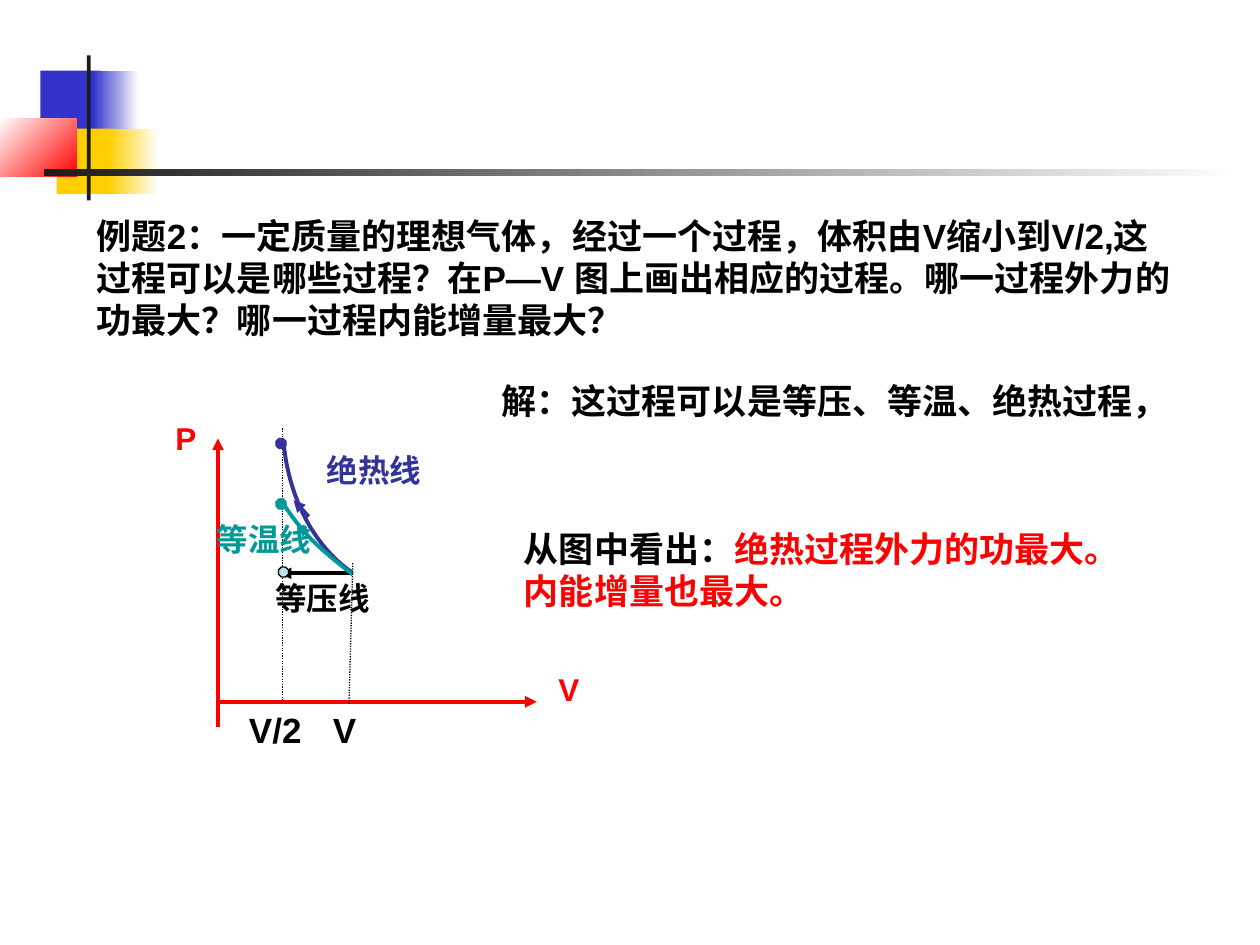
from dataclasses import dataclass

from lxml.etree import SubElement
from pptx import Presentation
from pptx.dml.color import RGBColor
from pptx.enum.dml import MSO_LINE
from pptx.enum.shapes import MSO_CONNECTOR, MSO_SHAPE
from pptx.enum.text import PP_ALIGN
from pptx.oxml.ns import qn
from pptx.util import Inches, Pt


@dataclass(frozen=True)
class Theme:
    font: str = "Arial"
    body_size: int = 20
    label_size: int = 18
    thick: float = 2.25
    thin: float = 0.75
    black: str = "000000"
    white: str = "FFFFFF"
    charcoal: str = "1C1C1C"
    blue: str = "3333CC"
    yellow: str = "FFCF01"
    red: str = "FF0000"
    adiabatic: str = "333399"
    isothermal: str = "009999"
    isobaric_dot: str = "BBE0E3"


@dataclass(frozen=True)
class Box:
    left: float
    top: float
    width: float
    height: float

    def inside(self, left, top, width, height):
        return Box(self.left + left, self.top + top, width, height)

    def point(self, x, y):
        return Inches(self.left + x), Inches(self.top + y)

    def lengths(self):
        return [Inches(n) for n in (self.left, self.top, self.width, self.height)]


THEME = Theme()


def color(value):
    return RGBColor.from_string(value)


def add_text(slide, box, runs, size, align=PP_ALIGN.LEFT):
    """Add one paragraph made of (text, colour) runs."""
    text_frame = slide.shapes.add_textbox(*box.lengths()).text_frame
    text_frame.word_wrap = True
    paragraph = text_frame.paragraphs[0]
    paragraph.alignment = align
    for text, run_color in runs:
        run = paragraph.add_run()
        run.text = text
        run.font.name = THEME.font
        run.font.size = Pt(size)
        run.font.bold = True
        run.font.color.rgb = color(run_color)


def add_block(slide, box, start, end=None, angle=0):
    """Add a borderless rectangle, plain or fading from start to end."""
    shape = slide.shapes.add_shape(MSO_SHAPE.RECTANGLE, *box.lengths())
    shape.shadow.inherit = False
    shape.line.fill.background()
    if end is None:
        shape.fill.solid()
        shape.fill.fore_color.rgb = color(start)
        return
    shape.fill.gradient()
    shape.fill.gradient_angle = angle
    for stop, value in zip(shape.fill.gradient_stops, (start, end)):
        stop.color.rgb = color(value)


def add_line(slide, box, start, end, line_color, width, arrow=True):
    """Add a solid arrow, or a dotted guide when arrow is False."""
    connector = slide.shapes.add_connector(
        MSO_CONNECTOR.STRAIGHT, *box.point(*start), *box.point(*end))
    SubElement(connector._element.spPr, qn("a:effectLst"))
    connector.line.color.rgb = color(line_color)
    connector.line.width = Pt(width)
    if arrow:
        SubElement(connector.line._get_or_add_ln(), qn("a:tailEnd"), type="triangle")
    else:
        connector.line.dash_style = MSO_LINE.ROUND_DOT


def bezier(points, steps=24):
    """Return points along a cubic curve."""
    result = []
    for step in range(steps + 1):
        t = step / steps
        weights = ((1 - t) ** 3, 3 * t * (1 - t) ** 2, 3 * t * t * (1 - t), t ** 3)
        result.append(tuple(sum(w * p[axis] for w, p in zip(weights, points))
                            for axis in (0, 1)))
    return result


def add_curve(slide, box, points, line_color):
    vertices = [box.point(*point) for point in points]
    builder = slide.shapes.build_freeform(*vertices[0])
    builder.add_line_segments(vertices[1:], close=False)
    shape = builder.convert_to_shape()
    shape.shadow.inherit = False
    shape.fill.background()
    shape.line.color.rgb = color(line_color)
    shape.line.width = Pt(THEME.thick)


def add_dot(slide, box, left, top, fill, outline):
    shape = slide.shapes.add_shape(
        MSO_SHAPE.OCTAGON, *box.inside(left, top, 0.08, 0.08).lengths())
    shape.shadow.inherit = False
    shape.fill.solid()
    shape.fill.fore_color.rgb = color(fill)
    shape.line.color.rgb = color(outline)
    shape.line.width = Pt(THEME.thin)


def draw_ornament(slide, box):
    """Coloured squares and the crossing bars of the header."""
    for place, start, end, angle in (
        ((0.32, 0.12, 0.48, 0.52), THEME.blue, None, 0),
        ((0.74, 0.12, 0.36, 0.52), THEME.blue, THEME.white, 0),
        ((0.45, 0.58, 0.46, 0.52), THEME.yellow, None, 0),
        ((0.86, 0.58, 0.4, 0.52), THEME.yellow, THEME.white, 0),
        ((0, 0.5, 0.61, 0.46), THEME.white, THEME.red, 315),
        ((0.69, 0, 0.03, 1.15), THEME.charcoal, None, 0),
        ((0.35, 0.9, 9.51, 0.06), THEME.charcoal, THEME.white, 0),
    ):
        add_block(slide, box.inside(*place), start, end, angle)


def draw_diagram(slide, box):
    """P-V diagram with the three processes from V to V/2."""
    # Processes
    add_line(slide, box, (1.6, 1.35), (1.02, 1.35), THEME.black, THEME.thick)
    add_curve(slide, box, bezier([(1.59, 1.34), (1.3, 1.14), (1.09, 0.76), (1.05, 0.3)]),
              THEME.adiabatic)
    add_line(slide, box, (1.25, 0.9), (1.13, 0.77), THEME.adiabatic, THEME.thick)
    isotherm = (bezier([(1.6, 1.36), (1.47, 1.26), (1.36, 1.17), (1.27, 1.08)])
                + bezier([(1.27, 1.08), (1.18, 0.99), (1.08, 0.85), (1.05, 0.8)])[1:])
    add_curve(slide, box, isotherm, THEME.isothermal)
    add_line(slide, box, (1.26, 1.07), (1.18, 0.97), THEME.isothermal, THEME.thin)

    # Axes and volume guides
    add_line(slide, box, (0.53, 2.37), (3.06, 2.37), THEME.red, THEME.thick)
    add_line(slide, box, (0.53, 2.57), (0.53, 0.28), THEME.red, THEME.thick)
    add_line(slide, box, (1.6, 1.27), (1.57, 2.39), THEME.black, THEME.thin, arrow=False)
    add_line(slide, box, (1.04, 2.38), (1.04, 0.19), THEME.black, THEME.thin, arrow=False)

    # Labels
    for text, place, text_color, size in (
        ("等压线", (0.43, 1.35, 1.86, 0.4), THEME.black, THEME.label_size),
        ("绝热线", (0.93, 0.33, 1.68, 0.4), THEME.adiabatic, THEME.label_size),
        ("等温线", (0.4, 0.88, 0.99, 0.4), THEME.isothermal, THEME.label_size),
        ("V", (3.06, 2.07, 0.51, 0.4), THEME.red, THEME.label_size),
        ("P", (0.02, 0.08, 0.51, 0.4), THEME.red, THEME.label_size),
        ("V/2", (0.58, 2.37, 0.81, 0.44), THEME.black, THEME.body_size),
        ("V", (1.18, 2.37, 0.71, 0.44), THEME.black, THEME.body_size),
    ):
        add_text(slide, box.inside(*place), [(text, text_color)], size, PP_ALIGN.CENTER)

    # End states
    add_dot(slide, box, 0.99, 0.28, THEME.adiabatic, THEME.adiabatic)
    add_dot(slide, box, 0.99, 0.76, THEME.isothermal, THEME.isothermal)
    add_dot(slide, box, 1.01, 1.3, THEME.isobaric_dot, THEME.black)


def draw_question(slide, box):
    question = ("例题2：一定质量的理想气体，经过一个过程，体积由V缩小到V/2,"
                "这过程可以是哪些过程？在P—V 图上画出相应的过程。"
                "哪一过程外力的功最大？哪一过程内能增量最大？")
    add_text(slide, box, [(question, THEME.black)], THEME.body_size)


def draw_answer(slide, box):
    add_text(slide, box.inside(0, 0, 5.27, 0.77),
             [(" 解：这过程可以是等压、等温、绝热过程，", THEME.black)], THEME.body_size)
    add_text(slide, box.inside(0.24, 1.18, 5.12, 0.77),
             [("从图中看出：", THEME.black),
              ("绝热过程外力的功最大。内能增量也最大。", THEME.red)], THEME.body_size)


def main():
    presentation = Presentation()
    presentation.slide_width = Inches(10)
    presentation.slide_height = Inches(7.5)
    slide = presentation.slides.add_slide(presentation.slide_layouts[6])
    draw_ornament(slide, Box(0, 0.44, 10, 1.15))
    draw_question(slide, Box(0.67, 1.65, 8.74, 1.1))
    draw_diagram(slide, Box(1.2, 3.2, 3.6, 2.8))
    draw_answer(slide, Box(3.82, 2.96, 5.36, 1.95))
    presentation.save("out.pptx")


if __name__ == "__main__":
    main()
